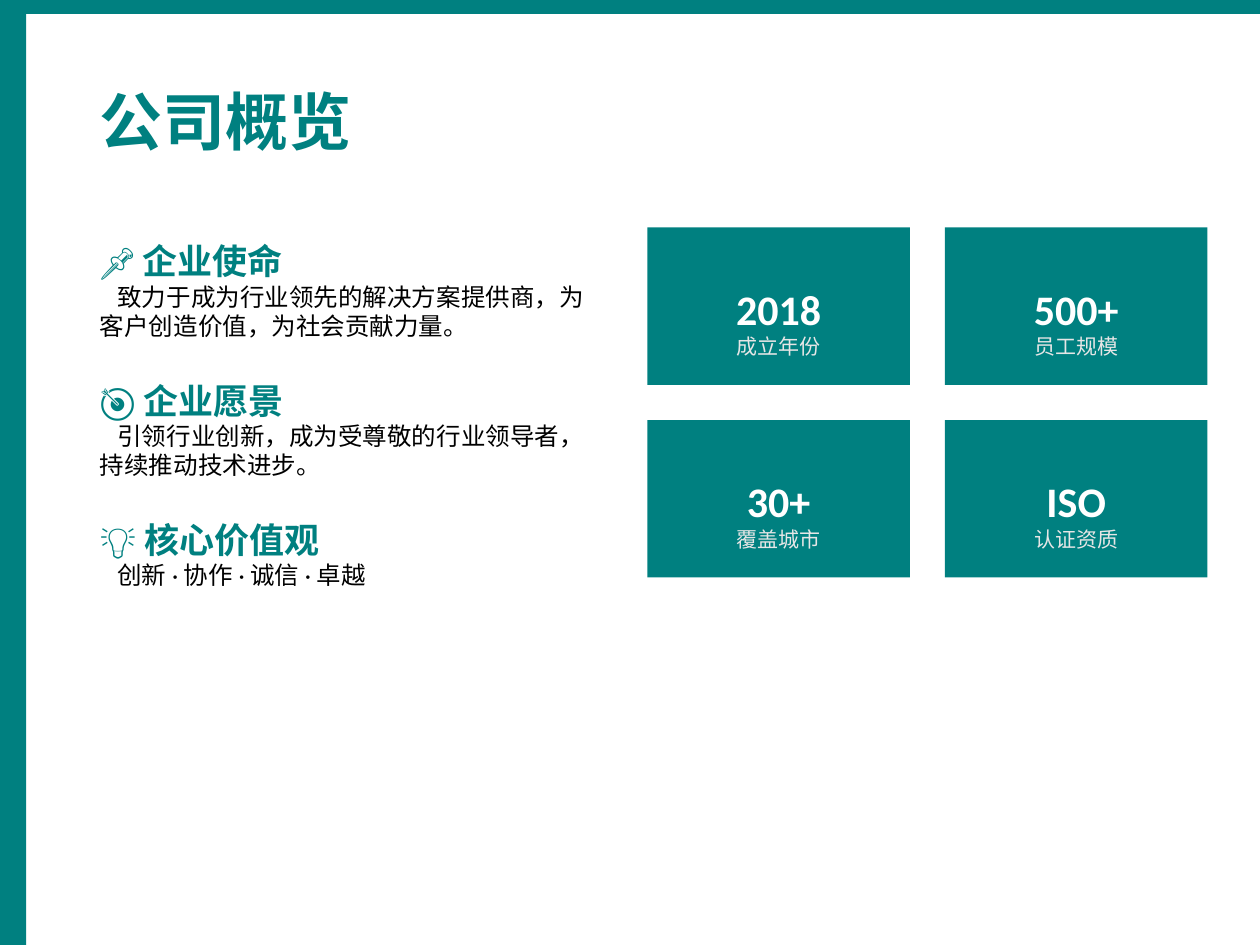
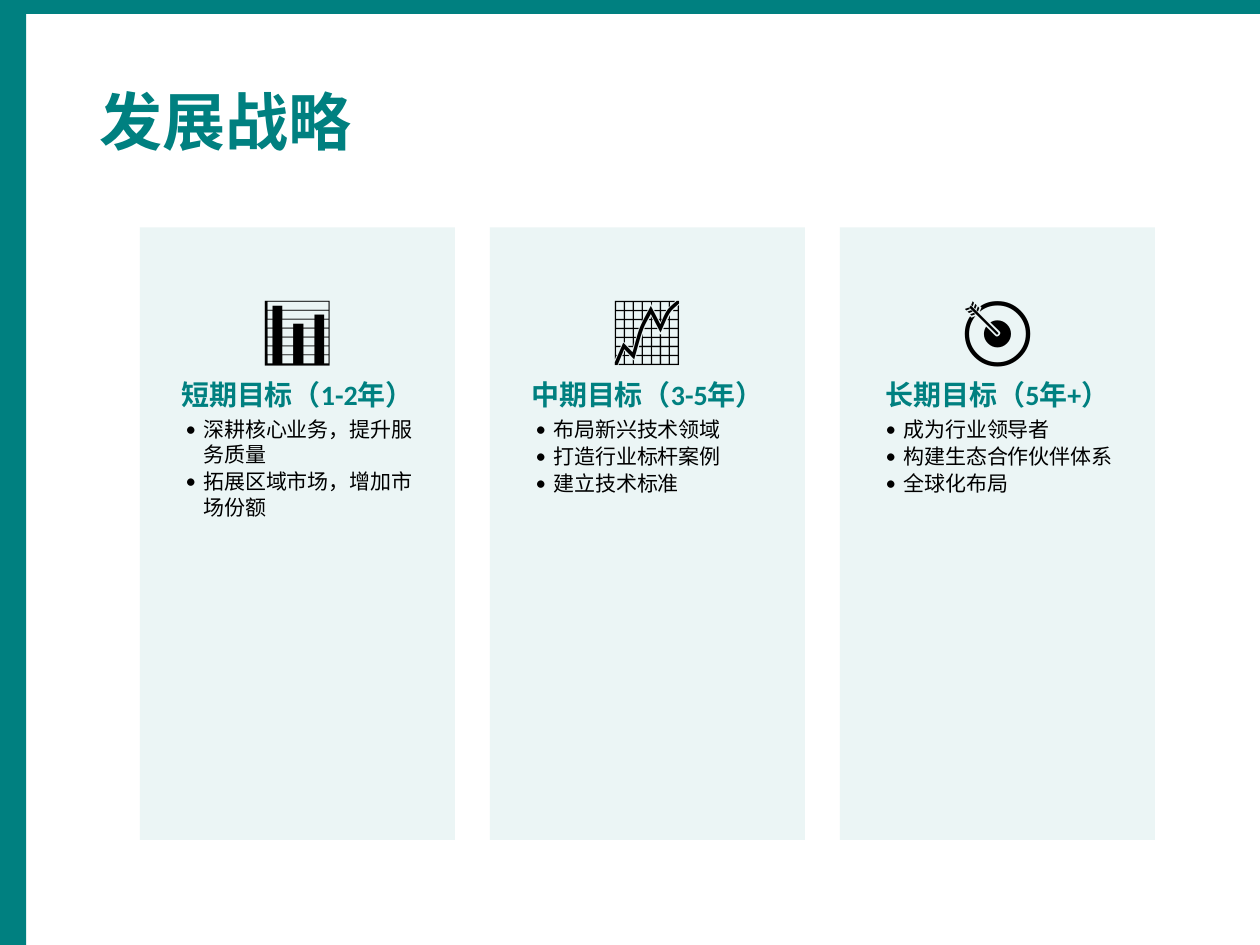
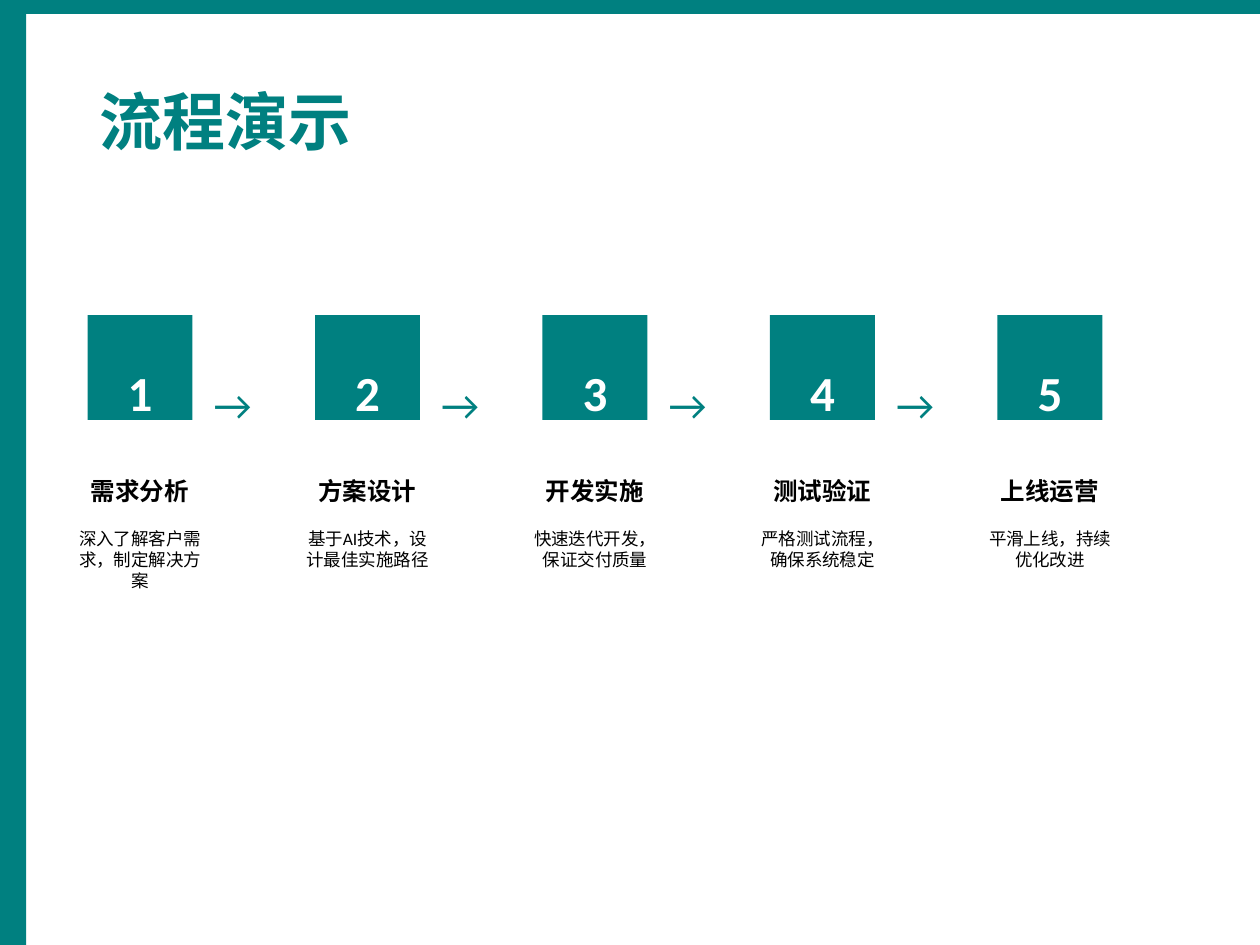
from dataclasses import dataclass

from lxml import etree
from pptx import Presentation
from pptx.dml.color import RGBColor
from pptx.enum.shapes import MSO_SHAPE
from pptx.enum.text import PP_ALIGN
from pptx.oxml.ns import qn
from pptx.util import Pt

RECTANGLE = MSO_SHAPE.RECTANGLE
LEFT, CENTER = PP_ALIGN.LEFT, PP_ALIGN.CENTER


@dataclass(frozen=True)
class Theme:
    font: str = "Calibri"
    teal: str = "008080"
    black: str = "000000"
    white: str = "FFFFFF"
    pale: str = "E6E6E6"
    icon: int = 40
    title: int = 36
    number: int = 28
    figure: int = 24
    heading: int = 20
    subheading: int = 16
    body: int = 14
    small: int = 12
    caption: int = 10


theme = Theme()


def add_panel(slide, left, top, width, height, opacity=100):
    """Add a teal rectangle; opacity is in percent."""
    panel = slide.shapes.add_shape(RECTANGLE, Pt(left), Pt(top), Pt(width), Pt(height))
    panel.shadow.inherit = False
    panel.fill.solid()
    panel.fill.fore_color.rgb = RGBColor.from_string(theme.teal)
    panel.line.fill.background()
    if opacity < 100:
        color = panel._element.spPr.find(".//" + qn("a:srgbClr"))
        etree.SubElement(color, qn("a:alpha")).set("val", str(opacity * 1000))


def add_text(text, slide=None, box=None, below=None, size=theme.body, color=theme.black,
             bold=False, align=LEFT, before=0, after=0, indent=0, bullet=False):
    """Start a text box on the slide, or add a paragraph below in a given frame."""
    if below is None:
        frame = slide.shapes.add_textbox(*[Pt(length) for length in box]).text_frame
        frame.word_wrap = True
        paragraph = frame.paragraphs[0]
    else:
        frame = below
        paragraph = frame.add_paragraph()
    paragraph.alignment = align
    paragraph.space_before, paragraph.space_after = Pt(before), Pt(after)
    properties = paragraph._p.get_or_add_pPr()
    if indent:
        properties.set("indent", str(Pt(indent)))
    if bullet:
        properties.set("marL", str(Pt(14)))
        properties.set("indent", str(Pt(-10)))
        etree.SubElement(properties, qn("a:buFont")).set("typeface", theme.font)
        etree.SubElement(properties, qn("a:buChar")).set("char", "•")
    run = paragraph.add_run()
    run.text = text
    run.font.name = theme.font
    run.font.size = Pt(size)
    run.font.bold = bold
    run.font.color.rgb = RGBColor.from_string(color)
    return frame


presentation = Presentation()
presentation.slide_width, presentation.slide_height = Pt(720), Pt(540)

# Shared bands and titles
slides = []
for title in ("公司概览", "发展战略", "流程演示"):
    slide = presentation.slides.add_slide(presentation.slide_layouts[6])
    add_panel(slide, 0, 0, 720, 8)
    add_panel(slide, 0, 0, 15, 540)
    add_text(title, slide, (50, 43.4, 620, 46.6), size=theme.title, color=theme.teal, bold=True)
    slides.append(slide)
overview, strategy, process = slides

# Company overview
principles = [
    ("📌 企业使命", "致力于成为行业领先的解决方案提供商，为客户创造价值，为社会贡献力量。"),
    ("🎯 企业愿景", "引领行业创新，成为受尊敬的行业领导者，持续推动技术进步。"),
    ("💡 核心价值观", "创新 · 协作 · 诚信 · 卓越"),
]
principles_frame = None
for heading, statement in principles:
    principles_frame = add_text(
        heading, overview, (50, 133.4, 300, 366.6), below=principles_frame,
        size=theme.heading, color=theme.teal, bold=True,
        before=22 if principles_frame else 0)
    add_text(statement, below=principles_frame, indent=10)

facts = [("2018", "成立年份"), ("500+", "员工规模"), ("30+", "覆盖城市"), ("ISO", "认证资质")]
for index, (figure, label) in enumerate(facts):
    row, column = divmod(index, 2)
    left, top = 370 + 170 * column, 130 + 110 * row
    add_panel(overview, left, top, 150, 90)
    fact_frame = add_text(figure, overview, (left + 10, top + 28.4, 130, 46.6),
                          size=theme.figure, color=theme.white, bold=True, align=CENTER)
    add_text(label, below=fact_frame, size=theme.small, color=theme.pale, align=CENTER)

# Development strategy
horizons = [
    ("📊", "短期目标（1-2年）", ["深耕核心业务，提升服务质量", "拓展区域市场，增加市场份额"]),
    ("📈", "中期目标（3-5年）", ["布局新兴技术领域", "打造行业标杆案例", "建立技术标准"]),
    ("🎯", "长期目标（5年+）", ["成为行业领导者", "构建生态合作伙伴体系", "全球化布局"]),
]
for index, (icon, horizon, goals) in enumerate(horizons):
    left = 80 + 200 * index
    add_panel(strategy, left, 130, 180, 350, opacity=8)
    horizon_frame = add_text(icon, strategy, (left + 15, 158.4, 150, 306.6),
                             size=theme.icon, align=CENTER, after=6)
    add_text(horizon, below=horizon_frame, size=theme.subheading, color=theme.teal,
             bold=True, align=CENTER, after=3)
    for goal in goals:
        add_text(goal, below=horizon_frame, size=theme.small, after=1, bullet=True)

# Process
steps = [
    ("需求分析", "深入了解客户需求，制定解决方案"),
    ("方案设计", "基于AI技术，设计最佳实施路径"),
    ("开发实施", "快速迭代开发，保证交付质量"),
    ("测试验证", "严格测试流程，确保系统稳定"),
    ("上线运营", "平滑上线，持续优化改进"),
]
for number, (step, description) in enumerate(steps, start=1):
    left = 50 + 130 * (number - 1)
    add_panel(process, left, 180, 60, 60)
    add_text(str(number), process, (left, 203.4, 60, 26.6),
             size=theme.number, color=theme.white, bold=True, align=CENTER)
    add_text(step, process, (left - 10, 268.4, 80, 16.6), bold=True, align=CENTER)
    add_text(description, process, (left - 15, 298.4, 90, 46.6),
             size=theme.caption, align=CENTER)
    if number < len(steps):
        add_text("→", process, (left + 65, 213.4, 30, 6.6),
                 size=theme.figure, color=theme.teal, align=CENTER)

presentation.save("out.pptx")
